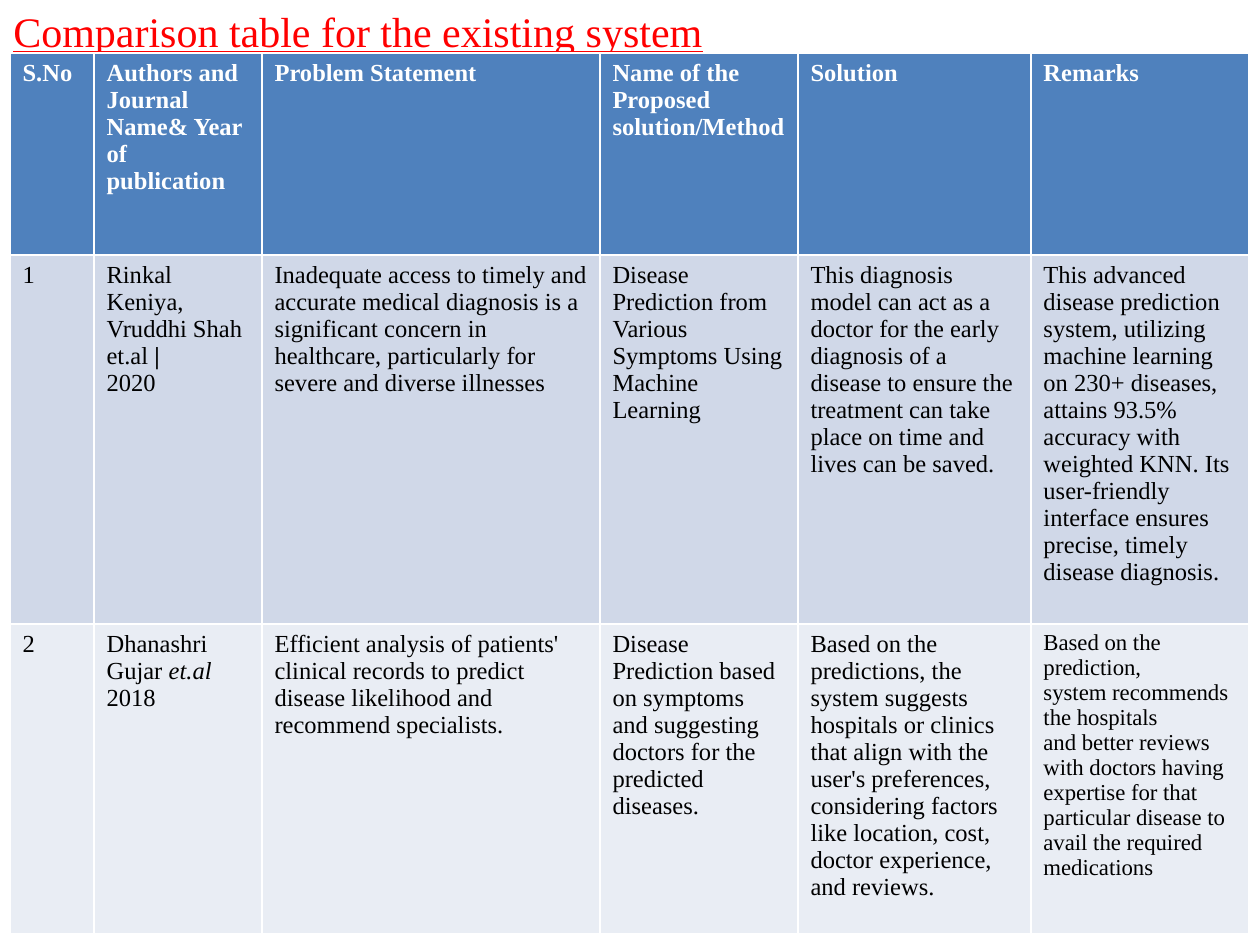
from pptx import Presentation
from pptx.dml.color import RGBColor
from pptx.enum.text import MSO_AUTO_SIZE
from pptx.util import Emu, Pt

FIT_SHAPE = MSO_AUTO_SIZE.SHAPE_TO_FIT_TEXT
EMU_PER_PX = 914400 // 126
WHITE, BLACK, RED = "FFFFFF", "000000", "FF0000"
HEADER_FILL, ROW_FILLS = "4F81BD", ["D0D8E8", "E9EDF4"]

COLUMN_WIDTHS = [84, 168, 338, 198, 233, 218]
ROW_HEIGHTS = [202, 369, 310]
HEADERS = [
    "S.No",
    "Authors and Journal Name& Year of publication",
    "Problem Statement",
    "Name of the Proposed solution/Method",
    "Solution",
    "Remarks",
]
STUDIES = [
    [
        "1",
        "Rinkal Keniya, Vruddhi Shah et.al \n2020",
        "Inadequate access to timely and accurate medical diagnosis is a significant "
        "concern in healthcare, particularly for severe and diverse illnesses",
        "Disease Prediction from Various Symptoms Using Machine Learning",
        "This diagnosis model can act as a doctor for the early diagnosis of a disease "
        "to ensure the treatment can take place on time and lives can be saved.",
        "This advanced disease prediction system, utilizing machine learning on 230+ "
        "diseases, attains 93.5% accuracy with weighted KNN. Its user-friendly "
        "interface ensures precise, timely disease diagnosis.",
    ],
    [
        "2",
        "Dhanashri Gujar \n2018",
        "Efficient analysis of patients' clinical records to predict disease likelihood "
        "and recommend specialists.",
        "Disease Prediction based on symptoms and suggesting doctors for the predicted "
        "diseases.",
        "Based on the predictions, the system suggests hospitals or clinics that align "
        "with the user's preferences, considering factors like location, cost, doctor "
        "experience, and reviews.",
        "Based on the prediction,\nsystem recommends the hospitals\n"
        "and better reviews with doctors having expertise for that\n"
        "particular disease to avail the required medications",
    ],
]


def px(length):
    return Emu(length * EMU_PER_PX)


def rgb(value):
    return RGBColor.from_string(value)


class SlideBuilder:
    font_name = "Times New Roman"

    def __init__(self, page):
        self.page = page

    def style_span(self, span, size, color, bold=False, italic=False, underline=False):
        font = span.font
        font.name, font.size = self.font_name, Pt(size)
        font.color.rgb = rgb(color)
        font.bold, font.italic, font.underline = bold, italic, underline

    def put_text(self, frame, text, size, color, **marks):
        frame.text = text
        for para in frame.paragraphs:
            for span in para.runs:
                self.style_span(span, size, color, **marks)

    def title(self, text, left, top, width, height):
        box = self.page.shapes.add_textbox(px(left), px(top), px(width), px(height))
        frame = box.text_frame
        frame.word_wrap = True
        frame.auto_size = FIT_SHAPE
        self.put_text(frame, text, 24, RED, underline=True)

    def table(self, left, top, widths, heights):
        table = self.page.shapes.add_table(
            len(heights), len(widths), px(left), px(top), px(sum(widths)), px(sum(heights))
        ).table
        for column, width in zip(table.columns, widths):
            column.width = px(width)
        for row, height in zip(table.rows, heights):
            row.height = px(height)
        return table

    def fill_row(self, row, texts, fill, color, bold=False):
        for cell, text in zip(row.cells, texts):
            cell.fill.solid()
            cell.fill.fore_color.rgb = rgb(fill)
            self.put_text(cell.text_frame, text, 14, color, bold=bold)

    def append_span(self, cell, text, **marks):
        span = cell.text_frame.paragraphs[0].add_run()
        span.text = text
        self.style_span(span, 14, BLACK, **marks)


def main():
    deck = Presentation()
    deck.slide_width, deck.slide_height = px(1260), px(945)
    builder = SlideBuilder(deck.slides.add_slide(deck.slide_layouts[6]))

    builder.title("Comparison table for the existing system", 1, -1, 1239, 63)
    table = builder.table(10, 53, COLUMN_WIDTHS, ROW_HEIGHTS)
    header, *study_rows = table.rows
    builder.fill_row(header, HEADERS, HEADER_FILL, WHITE, bold=True)
    for row, texts, fill in zip(study_rows, STUDIES, ROW_FILLS):
        builder.fill_row(row, texts, fill, BLACK)

    builder.append_span(table.cell(1, 1), "|", bold=True)
    builder.append_span(table.cell(2, 1), "et.al", italic=True)
    builder.put_text(table.cell(2, 5).text_frame, STUDIES[1][5], 13, BLACK)
    deck.save("out.pptx")


if __name__ == "__main__":
    main()
